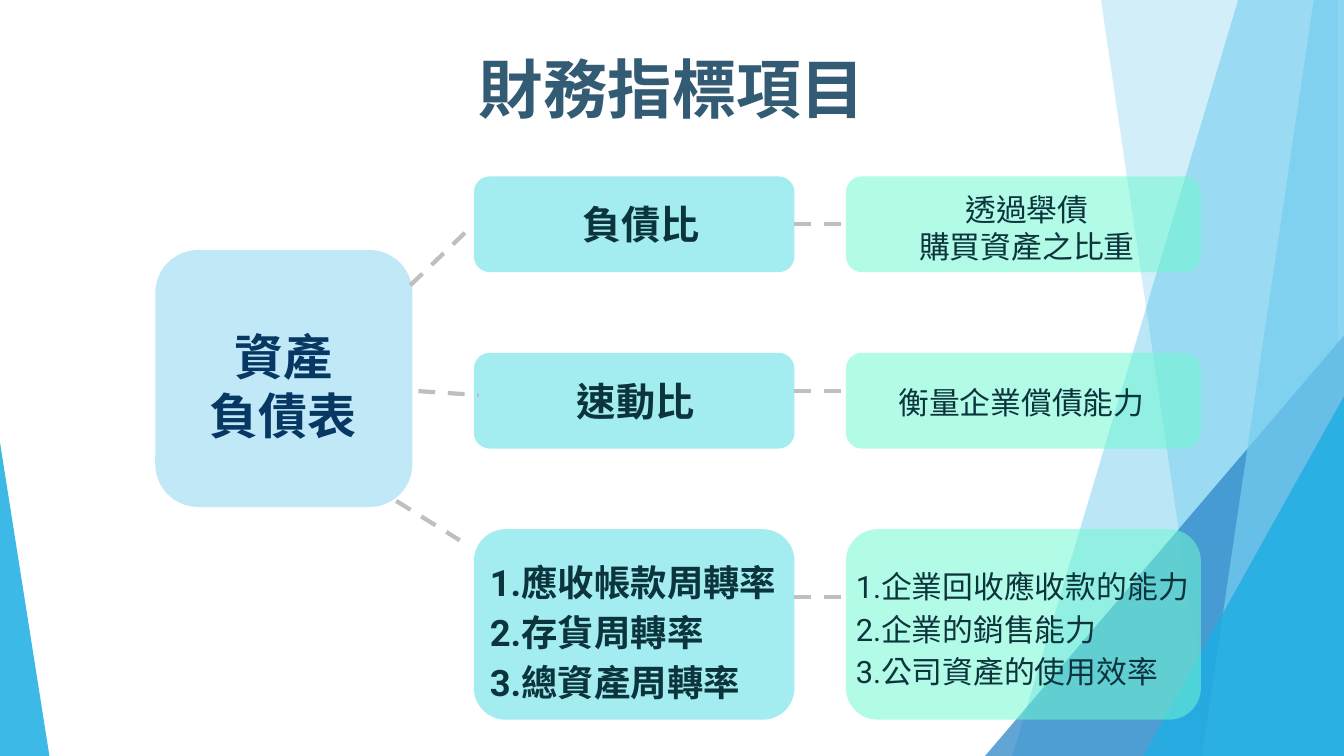
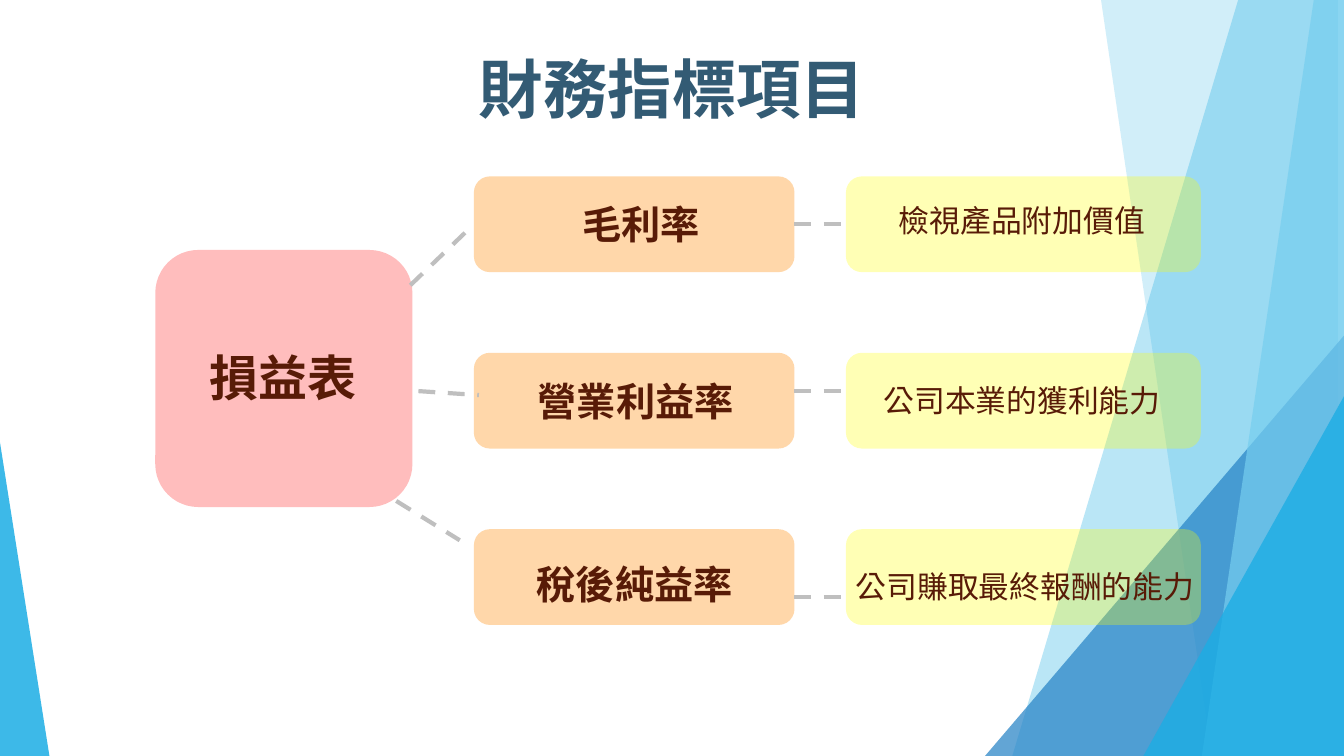
"""Build two slides that break a financial statement into its indicators."""
import dataclasses

import lxml.etree
import pptx
import pptx.dml.color
import pptx.enum.dml
import pptx.enum.lang
import pptx.enum.shapes
import pptx.enum.text
import pptx.oxml.ns
import pptx.util

Inches = pptx.util.Inches
SHAPES = pptx.enum.shapes.MSO_SHAPE
FONT = "Roboto"
WIDTH, HEIGHT = 13.33, 7.5
TITLE = "財務指標項目"
TITLE_COLOR = "335B74"
LINK_COLOR = "BFBFBF"
SKY, BLUE, PALE = "1CADE4", "2683C6", "76CEEF"

STATEMENT_LEFT, STATEMENT_TOP, STATEMENT_SIZE = 1.54, 2.48, 2.55
RATIO_LEFT, RATIO_WIDTH = 4.7, 3.18
MEANING_LEFT, MEANING_WIDTH = 8.39, 3.52
ROW_TOP, ROW_PITCH, ROW_HEIGHT = 1.75, 1.75, 0.95
STATEMENT_LINKS = [(4.15, 3.88, 4.75, 3.92), (3.93, 4.97, 4.56, 5.36)]
MEANING_LINK_HEIGHTS = [3.88, 5.92]


@dataclasses.dataclass
class Label:
    """Text lines with their place and style."""
    lines: list
    at: tuple
    size: int
    bold: bool = False
    centered: bool = True
    spacing: float = None
    inset: float = 0.1


@dataclasses.dataclass
class Statement:
    """One financial statement with its ratios and their meanings."""
    ink: str
    statement_fill: tuple
    ratio_fill: tuple
    meaning_fill: tuple
    last_height: float
    name: Label
    ratios: list
    meanings: list


BALANCE_SHEET = Statement(
    ink="0C343D",
    statement_fill=(PALE, 46),
    ratio_fill=("56DDE5", 54),
    meaning_fill=("71F9D2", 54),
    last_height=1.89,
    name=Label(["資產", "負債表"], (1.75, 3.14, 2.12, 1.38), 35, True),
    ratios=[
        Label(["負債比"], (5.08, 1.89, 2.55, 0.67), 28, True),
        Label(["速動比"], (5.03, 3.64, 2.55, 0.67), 28, True),
        Label(["1.應收帳款周轉率", "2.存貨周轉率", "3.總資產周轉率"],
              (4.76, 5.39, 3.41, 1.65), 26, True, False, 1.15),
    ],
    meanings=[
        Label(["透過舉債", "購買資產之比重"], (8.58, 1.79, 3.21, 0.94), 22),
        Label(["衡量企業償債能力"], (8.7, 3.71, 2.86, 0.57), 22),
        Label(["1.企業回收應收款的能力", "2.企業的銷售能力", "3.公司資產的使用效率"],
              (8.39, 5.48, 4.33, 1.42), 22, False, False, 1.15),
    ],
)

INCOME_STATEMENT = Statement(
    ink="581B07",
    statement_fill=("FF7676", 48),
    ratio_fill=("FFBF75", 61),
    meaning_fill=("FFFF00", 29),
    last_height=ROW_HEIGHT,
    name=Label(["損益表"], (1.75, 3.35, 2.12, 0.79), 35, True),
    ratios=[
        Label(["毛利率"], (5.08, 1.89, 2.55, 0.67), 28, True),
        Label(["營業利益率"], (5.03, 3.64, 2.55, 0.67), 28, True),
        Label(["稅後純益率"], (4.8, 5.39, 2.99, 0.67), 28, True, True, 1.15),
    ],
    meanings=[
        Label(["檢視產品附加價值"], (8.53, 1.9, 3.21, 0.57), 22),
        Label(["公司本業的獲利能力"], (8.64, 3.69, 2.99, 0.57), 22),
        Label(["公司賺取最終報酬的能力"], (8.39, 5.48, 4.33, 0.57), 22,
              False, False, 1.15),
    ],
)


def rgb(code):
    """Turn a hex string into a colour."""
    return pptx.dml.color.RGBColor.from_string(code)


def add_child(parent, tag, **attributes):
    """Append a DrawingML child element."""
    child = lxml.etree.SubElement(parent, pptx.oxml.ns.qn(tag))
    for key, value in attributes.items():
        child.set(key, value)
    return child


def paint(shape, color, opacity):
    """Give a shape a see-through fill without outline or shadow."""
    shape.shadow.inherit = False
    shape.line.fill.background()
    shape.fill.solid()
    shape.fill.fore_color.rgb = rgb(color)
    tint = shape.element.spPr.find(".//" + pptx.oxml.ns.qn("a:srgbClr"))
    add_child(tint, "a:alpha", val=str(opacity * 1000))


def add_preset(slide, kind, at, adjustment, fill):
    """Add a filled preset shape."""
    shape = slide.shapes.add_shape(kind, *map(Inches, at))
    shape.adjustments[0] = adjustment
    paint(shape, *fill)
    return shape


def add_card(slide, at, fill):
    """Add a rounded card."""
    return add_preset(slide, SHAPES.ROUNDED_RECTANGLE, at, 0.167, fill)


def add_corner(slide, left, top, width, apex, fill):
    """Add a triangle that stands on the bottom edge of the slide."""
    at = (left, top, width, HEIGHT - top)
    add_preset(slide, SHAPES.ISOSCELES_TRIANGLE, at, apex, fill)


def add_band(slide, top_left, top_right, bottom_right, bottom_left, fill):
    """Add a slanted band from the top to the bottom of the slide."""
    builder = slide.shapes.build_freeform(
        Inches(top_left), 0, scale=1.0)
    corners = [(top_right, 0), (bottom_right, HEIGHT), (bottom_left, HEIGHT)]
    builder.add_line_segments(
        [(Inches(x), Inches(y)) for x, y in corners], close=True)
    paint(builder.convert_to_shape(), *fill)


def add_label(slide, label, color):
    """Add a text box with one paragraph for each line."""
    box = slide.shapes.add_textbox(*map(Inches, label.at))
    frame = box.text_frame
    frame.word_wrap = True
    frame.auto_size = pptx.enum.text.MSO_AUTO_SIZE.SHAPE_TO_FIT_TEXT
    frame.margin_left = frame.margin_right = Inches(0.1)
    frame.margin_top = frame.margin_bottom = Inches(label.inset)
    align = pptx.enum.text.PP_ALIGN
    for index, line in enumerate(label.lines):
        paragraph = frame.add_paragraph() if index else frame.paragraphs[0]
        paragraph.alignment = align.CENTER if label.centered else align.LEFT
        paragraph.line_spacing = label.spacing
        run = paragraph.add_run()
        run.text = line
        font = run.font
        font.name = FONT
        font.size = pptx.util.Pt(label.size)
        font.bold = label.bold
        font.color.rgb = rgb(color)
        font.language_id = pptx.enum.lang.MSO_LANGUAGE_ID.TRADITIONAL_CHINESE
        add_child(run.font._element, "a:ea", typeface=FONT)


def add_link(slide, ends):
    """Add a dashed link between two points."""
    link = slide.shapes.add_connector(
        pptx.enum.shapes.MSO_CONNECTOR.STRAIGHT, *map(Inches, ends))
    link.line.color.rgb = rgb(LINK_COLOR)
    link.line.width = pptx.util.Pt(3)
    link.line.dash_style = pptx.enum.dml.MSO_LINE.DASH
    add_child(link.element.spPr, "a:effectLst")
    return link


def add_backdrop(slide):
    """Add the slanted bands, the corners and the title."""
    add_band(slide, 12.28, WIDTH, WIDTH, 10.04, (SKY, 30))
    add_band(slide, 10.92, 13.27, 13.27, 12.02, (SKY, 20))
    add_corner(slide, 9.77, 3.33, 3.56, 1.0, (BLUE, 72))
    add_band(slide, 13.03, WIDTH, WIDTH, 11.92, (PALE, 70))
    add_corner(slide, 11.34, 3.93, 1.99, 1.0, (SKY, 80))
    add_corner(slide, 0, 4.39, 0.49, 0.0, (SKY, 85))
    title = Label([TITLE], (2.7, 0.44, 7.93, 0.88), 46, True, inset=0.05)
    add_label(slide, title, TITLE_COLOR)


def add_column(slide, left, width, last_height, fill):
    """Add a column of three cards and return them."""
    heights = [ROW_HEIGHT, ROW_HEIGHT, last_height]
    return [
        add_card(slide, (left, ROW_TOP + row * ROW_PITCH, width, height), fill)
        for row, height in enumerate(heights)
    ]


def add_links(slide, first_ratio, first_meaning):
    """Link the statement to its ratios and the ratios to their meanings."""
    for ends in STATEMENT_LINKS:
        add_link(slide, ends)
    middle = ROW_TOP + ROW_HEIGHT / 2
    ratio_right = RATIO_LEFT + RATIO_WIDTH
    to_ratio = add_link(slide, (4.07, 2.83, RATIO_LEFT, middle))
    to_ratio.end_connect(first_ratio, 1)
    to_meaning = add_link(slide, (ratio_right, middle, MEANING_LEFT, middle))
    to_meaning.begin_connect(first_ratio, 3)
    to_meaning.end_connect(first_meaning, 1)
    for height in MEANING_LINK_HEIGHTS:
        add_link(slide, (ratio_right, height, MEANING_LEFT, height))


def add_statement(deck, statement, name_color):
    """Add the slide of one financial statement."""
    slide = deck.slides.add_slide(deck.slide_layouts[6])
    add_backdrop(slide)
    add_card(slide, (STATEMENT_LEFT, STATEMENT_TOP, STATEMENT_SIZE,
                     STATEMENT_SIZE), statement.statement_fill)
    ratios = add_column(slide, RATIO_LEFT, RATIO_WIDTH,
                        statement.last_height, statement.ratio_fill)
    meanings = add_column(slide, MEANING_LEFT, MEANING_WIDTH,
                          statement.last_height, statement.meaning_fill)
    add_label(slide, statement.name, name_color)
    for label in statement.ratios + statement.meanings:
        add_label(slide, label, statement.ink)
    add_links(slide, ratios[0], meanings[0])


def main():
    """Build and save the deck."""
    deck = pptx.Presentation()
    deck.slide_width, deck.slide_height = Inches(WIDTH), Inches(HEIGHT)
    add_statement(deck, BALANCE_SHEET, "073763")
    add_statement(deck, INCOME_STATEMENT, INCOME_STATEMENT.ink)
    deck.save("out.pptx")


if __name__ == "__main__":
    main()
